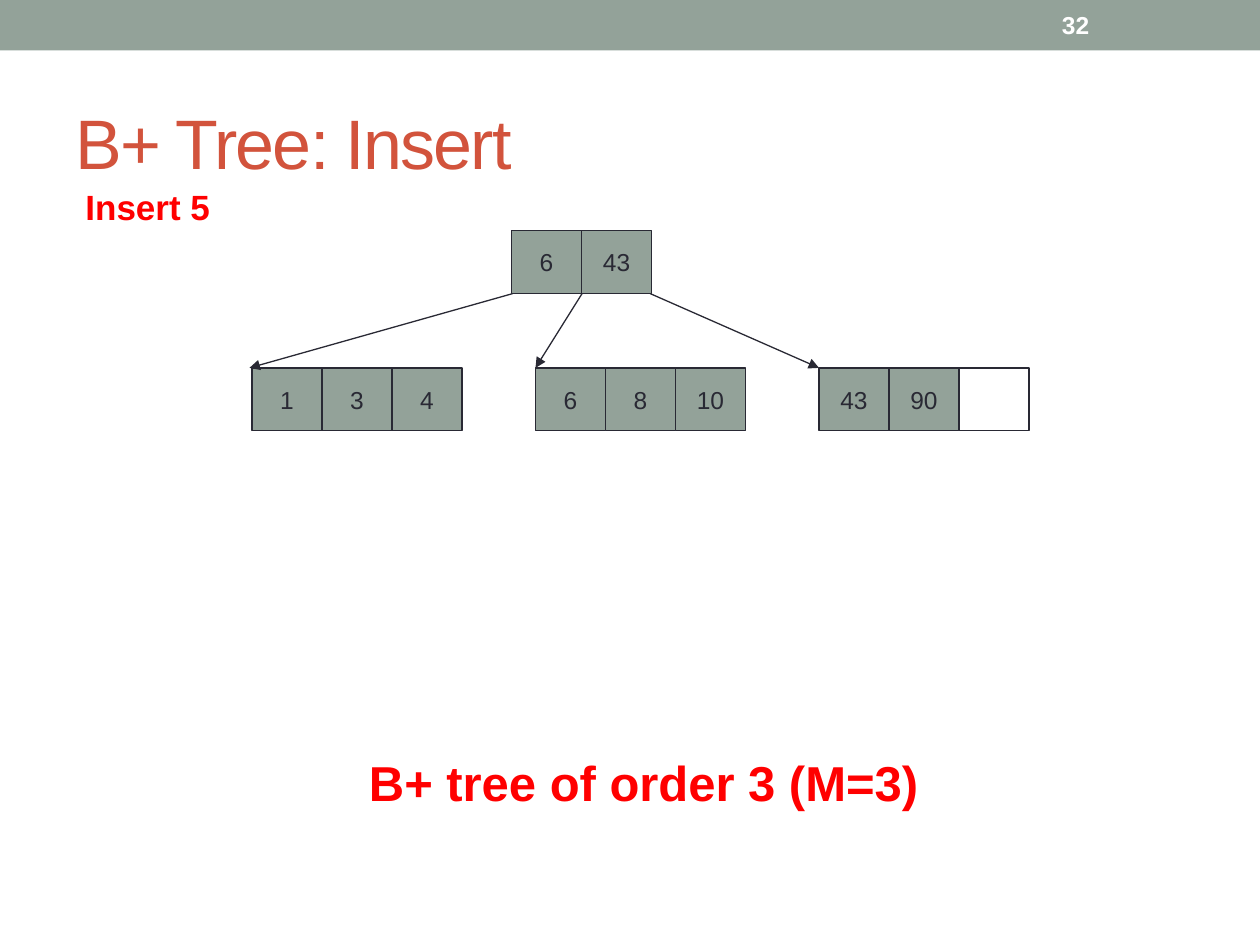
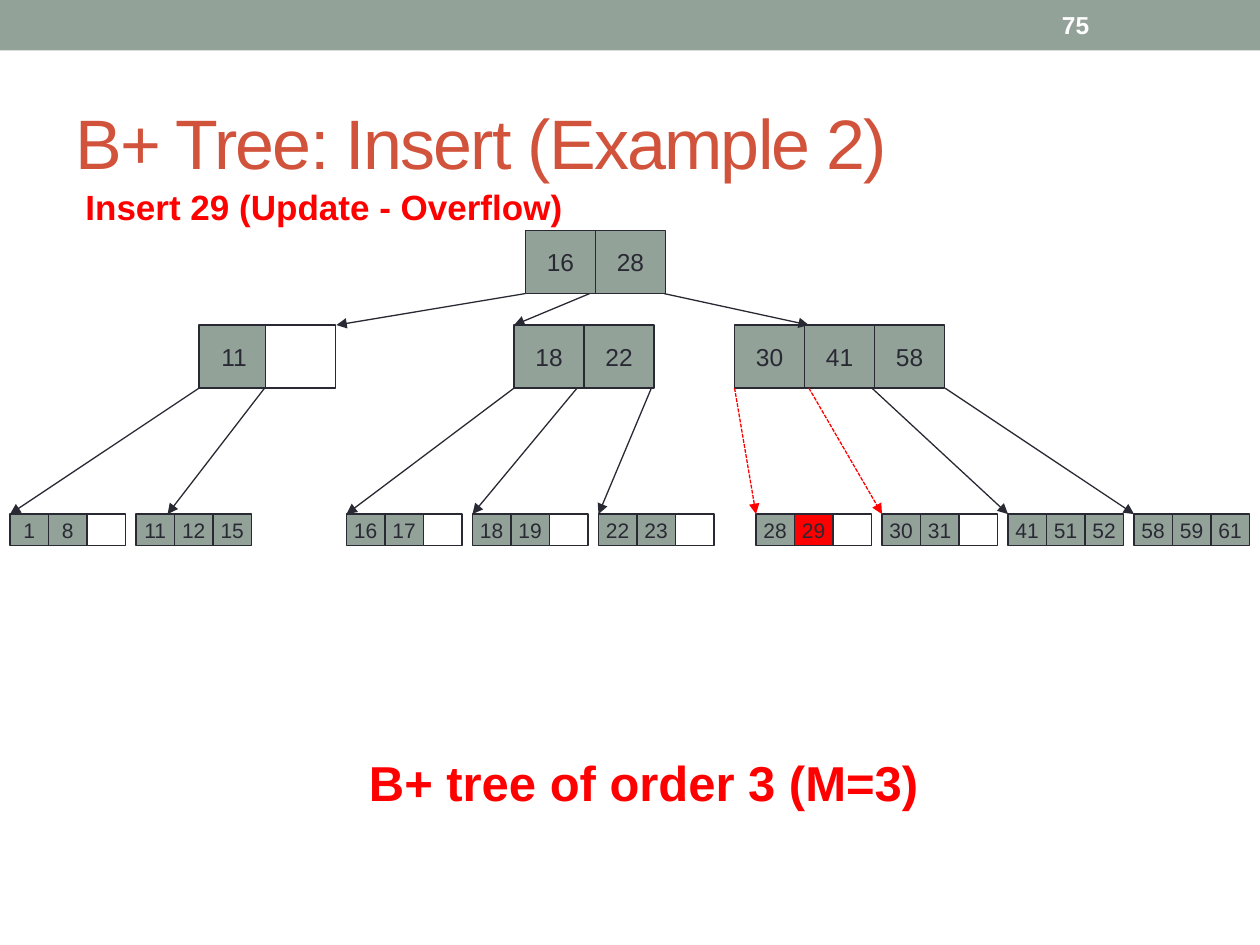
from dataclasses import dataclass

import pptx
import pptx.dml.color
import pptx.enum.dml
import pptx.enum.shapes
import pptx.enum.text
import pptx.oxml.ns
import pptx.presentation
import pptx.shapes.base
import pptx.slide
import pptx.util
from lxml import etree

Inches = pptx.util.Inches
Pt = pptx.util.Pt
RGBColor = pptx.dml.color.RGBColor
Anchor = pptx.enum.text.MSO_ANCHOR
Align = pptx.enum.text.PP_ALIGN

SAGE = RGBColor(0x93, 0xA2, 0x99)
RUST = RGBColor(0xD2, 0x53, 0x3C)
INK = RGBColor(0x29, 0x29, 0x34)
RED = RGBColor(0xFF, 0x00, 0x00)
WHITE = RGBColor(0xFF, 0xFF, 0xFF)

FONT = "Arial"
LINE_WIDTH = Pt(0.75)
ROOT_TOP = 1.83
EMPTY = ""


@dataclass(frozen=True)
class CellStyle:
    width: float
    height: float
    font_size: int


LARGE = CellStyle(width=5 / 9, height=0.5, font_size=14)
SMALL = CellStyle(width=11 / 36, height=0.25, font_size=12)


@dataclass(frozen=True)
class Node:
    left: float
    top: float
    keys: tuple[str, ...]
    style: CellStyle = LARGE
    inserted: str | None = None
    pitch: float | None = None


@dataclass(frozen=True)
class PointerRow:
    """Arrows between two levels, each given as (start x, end x)."""
    top: float
    bottom: float
    spans: tuple[tuple[float, float], ...]
    updated: bool = False


@dataclass(frozen=True)
class TreeSlide:
    title: str
    step: str
    step_width: float
    number: str
    nodes: tuple[Node, ...]
    pointers: tuple[PointerRow, ...]


def leaf_row(top: float, first_left: float, *leaves: tuple[str, ...],
             inserted: str | None = None) -> tuple[Node, ...]:
    """Small sibling leaves, one inch apart."""
    return tuple(Node(first_left + index, top, keys, SMALL, inserted)
                 for index, keys in enumerate(leaves))


def write_text(shape: pptx.shapes.base.BaseShape, text: str, *, size: int, color: RGBColor,
               bold: bool = False, align: Align = Align.LEFT,
               anchor: Anchor = Anchor.TOP, wrap: bool = False,
               spacing: float = 0) -> None:
    """Fill a shape with one formatted line; spacing is in points."""
    frame = shape.text_frame
    frame.word_wrap = wrap
    frame.vertical_anchor = anchor
    paragraph = frame.paragraphs[0]
    paragraph.alignment = align
    run = paragraph.add_run()
    run.text = text
    run.font.name = FONT
    run.font.size = Pt(size)
    run.font.bold = bold
    run.font.color.rgb = color
    if spacing:
        run.font._element.set("spc", str(round(spacing * 100)))


def add_label(slide: pptx.slide.Slide, text: str, left: float, top: float,
              width: float, height: float, **text_format) -> None:
    box = slide.shapes.add_textbox(Inches(left), Inches(top), Inches(width), Inches(height))
    write_text(box, text, **text_format)


def add_rectangle(slide: pptx.slide.Slide, left: float, top: float, width: float,
                  height: float, fill: RGBColor,
                  outline: RGBColor | None = None) -> pptx.shapes.base.BaseShape:
    rectangle = slide.shapes.add_shape(
        pptx.enum.shapes.MSO_SHAPE.RECTANGLE,
        Inches(left), Inches(top), Inches(width), Inches(height))
    rectangle.shadow.inherit = False
    rectangle.fill.solid()
    rectangle.fill.fore_color.rgb = fill
    if outline is None:
        rectangle.line.fill.background()
    else:
        rectangle.line.color.rgb = outline
        rectangle.line.width = LINE_WIDTH
    return rectangle


def draw_node(slide: pptx.slide.Slide, node: Node) -> None:
    style = node.style
    for index, key in enumerate(node.keys):
        if key == EMPTY:
            fill = WHITE
        else:
            fill = RED if key == node.inserted else SAGE
        left = node.left + index * (node.pitch or style.width)
        cell = add_rectangle(slide, left, node.top, style.width, style.height, fill, INK)
        if key != EMPTY:
            write_text(cell, key, size=style.font_size, color=INK,
                       align=Align.CENTER, anchor=Anchor.MIDDLE)


def draw_pointers(slide: pptx.slide.Slide, row: PointerRow) -> None:
    for start, end in row.spans:
        arrow = slide.shapes.add_connector(
            pptx.enum.shapes.MSO_CONNECTOR.STRAIGHT,
            Inches(start), Inches(row.top), Inches(end), Inches(row.bottom))
        arrow.line.width = LINE_WIDTH
        arrow.line.color.rgb = RED if row.updated else INK
        if row.updated:
            arrow.line.dash_style = pptx.enum.dml.MSO_LINE.SQUARE_DOT
        qn = pptx.oxml.ns.qn
        properties = arrow._element.spPr
        etree.SubElement(properties.find(qn("a:ln")), qn("a:tailEnd"), type="triangle")
        etree.SubElement(properties, qn("a:effectLst"))


def draw_frame(slide: pptx.slide.Slide, content: TreeSlide) -> None:
    """Draw the band, number, title, step and tree order found on every slide."""
    add_rectangle(slide, 0, 0, 10, 0.4, SAGE)
    add_label(slide, content.title, 0.5, 0.58, 9, 1.08, size=40, color=RUST,
              anchor=Anchor.MIDDLE, wrap=True, spacing=-1)
    add_label(slide, content.number, 8.33, 0.02, 1.17, 0.36, size=14, color=WHITE,
              bold=True, anchor=Anchor.MIDDLE, wrap=True)
    add_label(slide, content.step, 0.58, 1.42, content.step_width, 0.44,
              size=20, color=RED, bold=True)
    add_label(slide, "B+ tree of order 3 (M=3)", 2.83, 5.92, 4.93, 0.57,
              size=28, color=RED, bold=True)


def build_slide(presentation: pptx.presentation.Presentation, content: TreeSlide) -> None:
    slide = presentation.slides.add_slide(presentation.slide_layouts[6])
    draw_frame(slide, content)
    for node in content.nodes:
        draw_node(slide, node)
    for row in content.pointers:
        draw_pointers(slide, row)


INSERT_5 = TreeSlide(
    title="B+ Tree: Insert",
    step="Insert 5",
    step_width=1.24,
    number="32",
    nodes=(
        Node(4.06, ROOT_TOP, ("6", "43")),
        Node(2, 2.92, ("1", "3", "4")),
        Node(4.25, 2.92, ("6", "8", "10")),
        Node(6.5, 2.92, ("43", "90", EMPTY)),
    ),
    pointers=(
        PointerRow(2.33, 2.92, ((4.07, 1.98), (4.62, 4.25), (5.16, 6.5))),
    ),
)

INSERT_29 = TreeSlide(
    title="B+ Tree: Insert (Example 2)",
    step="Insert 29 (Update - Overflow)",
    step_width=4.2,
    number="75",
    nodes=(
        Node(4.17, ROOT_TOP, ("16", "28")),
        Node(1.58, 2.58, ("11", EMPTY), pitch=0.53),
        Node(4.08, 2.58, ("18", "22")),
        Node(5.83, 2.58, ("30", "41", "58")),
        *leaf_row(4.08, 0.08, ("1", "8", EMPTY), ("11", "12", "15")),
        *leaf_row(4.08, 2.75, ("16", "17", EMPTY), ("18", "19", EMPTY),
                  ("22", "23", EMPTY)),
        *leaf_row(4.08, 6, ("28", "29", EMPTY), ("30", "31", EMPTY),
                  ("41", "51", "52"), ("58", "59", "61"), inserted="29"),
    ),
    pointers=(
        PointerRow(2.33, 2.58, ((4.17, 2.67), (4.68, 4.08), (5.27, 6.42))),
        PointerRow(3.08, 4.08, ((1.58, 0.08), (2.1, 1.33),
                                (4.08, 2.75), (4.58, 3.75), (5.17, 4.75),
                                (6.92, 8), (7.5, 9))),
        PointerRow(3.08, 4.08, ((5.83, 6), (6.42, 7)), updated=True),
    ),
)


def main() -> None:
    presentation = pptx.Presentation()
    presentation.slide_width = Inches(10)
    presentation.slide_height = Inches(7.5)
    for content in (INSERT_5, INSERT_29):
        build_slide(presentation, content)
    presentation.save("out.pptx")


if __name__ == "__main__":
    main()
